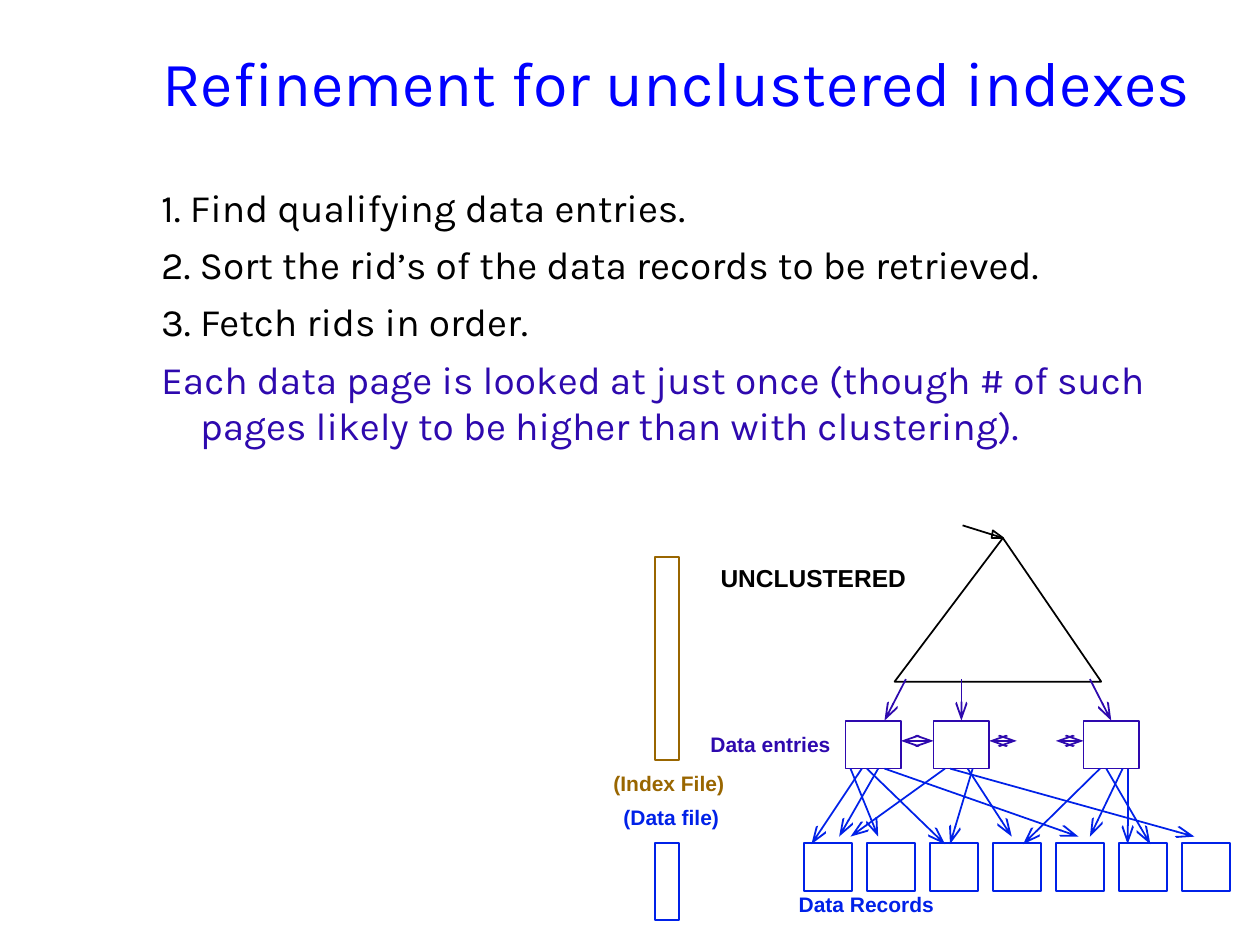
"""Build the slide on refinement for unclustered indexes."""
from lxml.etree import SubElement
from pptx import Presentation
from pptx.dml.color import RGBColor
from pptx.enum.shapes import MSO_CONNECTOR as Line, MSO_SHAPE as Kind
from pptx.enum.text import MSO_ANCHOR as Anchor
from pptx.oxml.ns import qn
from pptx.util import Inches, Pt

BLACK = RGBColor(0x00, 0x00, 0x00)
BLUE = RGBColor(0x00, 0x00, 0xFF)
AZURE = RGBColor(0x00, 0x21, 0xE8)
VIOLET = RGBColor(0x2E, 0x09, 0xAE)
BROWN = RGBColor(0x99, 0x66, 0x00)

TITLE = "Refinement for unclustered indexes"
STEPS = [
    ("1. Find qualifying data entries.", BLACK),
    ("2. Sort the rid’s of the data records to be retrieved.", BLACK),
    ("3. Fetch rids in order.", BLACK),
    ("Each data page is looked at just once (though # of such pages "
     "likely to be higher than with clustering).", VIOLET),
]
LABELS = [
    ("(Index File)", (4.77, 6.07, 1.08, 0.3), 12, BROWN),
    ("(Data file)", (4.85, 6.34, 0.96, 0.3), 12, AZURE),
    ("Data entries", (5.54, 5.76, 1.16, 0.3), 12, VIOLET),
    ("Data Records", (6.24, 7.03, 1.28, 0.3), 12, AZURE),
    ("UNCLUSTERED", (5.62, 4.42, 1.68, 0.33), 14, BLACK),
]
BARS = [((5.2, 4.42, 0.19, 1.61), BROWN), ((5.2, 6.69, 0.19, 0.61), AZURE)]
LEFT, BASE, APEX, TOP, WIDE = 7.1, 5.41, 7.96, 4.27, 1.64
HEAD = [(7.88, 4.21), (APEX, TOP), (7.87, 4.27)]
NODES, ROW, SIDE, TALL = [6.71, 7.41, 8.6], 5.72, 0.44, 0.38
DROPS = [(7.19, 7.02), (7.63, 7.63), (8.65, 8.82)]
PEERS = [(7.15, 7.41), (7.85, 8.07), (8.38, 8.6)]
FILE, FIRST, STEP, COUNT = 6.69, 6.38, 0.5, 7
NEAR, FAR = 6.64, 6.7
LINKS = [
    (6.75, 6.97, NEAR), (6.84, 6.44, FAR), (6.88, 7.5, FAR),
    (6.97, 6.66, NEAR), (7.02, 8.56, NEAR), (7.5, 6.75, NEAR),
    (7.54, 9.48, NEAR), (7.72, 7.54, FAR), (7.68, 8.03, NEAR),
    (8.73, 8.12, FAR), (8.78, 9.13, FAR), (8.91, 8.65, NEAR),
    (8.95, 8.95, FAR),
]

deck = Presentation()
deck.slide_width, deck.slide_height = Inches(10), Inches(7.5)
shapes = deck.slides.add_slide(deck.slide_layouts[6]).shapes


def style(item, form):
    for key, value in form.items():
        setattr(item, key, value)


def write(lines, area, face, size, bold=False, wrap=True, **form):
    frame = shapes.add_textbox(*map(Inches, area)).text_frame
    style(frame, {"word_wrap": wrap, **form})
    for spot, (text, color) in enumerate(lines):
        para = frame.paragraphs[0] if spot == 0 else frame.add_paragraph()
        run = para.add_run()
        run.text = text
        style(run.font, {"name": face, "size": Pt(size), "bold": bold})
        run.font.color.rgb = color
    return frame


def trace(shape, color):
    shape.shadow.inherit = False
    shape.fill.background()
    style(shape.line, {"width": Pt(1)})
    shape.line.color.rgb = color
    return shape


def box(area, color, kind=Kind.RECTANGLE):
    return trace(shapes.add_shape(kind, *map(Inches, area)), color)


def join(start, end, color, tips=()):
    link = shapes.add_connector(Line.STRAIGHT, *map(Inches, start + end))
    link.line.width = Pt(1)
    link.line.color.rgb = color
    for tip in tips:
        SubElement(link.line._ln, qn(tip), type="arrow", w="med", len="lg")
    SubElement(link._element.spPr, qn("a:effectLst"))


write([(TITLE, BLUE)], (1.19, 0.02, 8.5, 1.25), "Karla", 36,
      vertical_anchor=Anchor.MIDDLE)
body = write(STEPS, (0.68, 1.41, 8.72, 2.58), "Karla", 22.2)
for spot, para in enumerate(body.paragraphs):
    para.space_before = Pt(6 if spot else 0)
    props = para._p.get_or_add_pPr()
    props.set("marL", str(Inches(0.81)))
    props.set("indent", str(Inches(-0.31)))

for area, color in BARS:
    box(area, color)
for spot in range(COUNT):
    box((FIRST + spot * STEP, FILE, TALL, TALL), AZURE)

tree = box((LEFT, TOP, WIDE, BASE - TOP), BLACK, Kind.ISOSCELES_TRIANGLE)
tree.adjustments[0] = (APEX - LEFT) / WIDE
join((7.64, 4.17), (APEX, TOP), BLACK)
pen = shapes.build_freeform(*map(Inches, HEAD[0]))
pen.add_line_segments([tuple(map(Inches, dot)) for dot in HEAD[1:]])
trace(pen.convert_to_shape(), BLACK)

for left in NODES:
    box((left, ROW, SIDE, TALL), VIOLET)
for start, end in DROPS:
    join((start, 5.39), (end, ROW), VIOLET, ["a:tailEnd"])
for start, end in PEERS:
    join((start, 5.88), (end, 5.88), VIOLET, ["a:headEnd", "a:tailEnd"])
for start, end, low in LINKS:
    join((start, ROW + TALL), (end, low), AZURE, ["a:tailEnd"])

for text, area, size, color in LABELS:
    write([(text, color)], area, "Arial", size, bold=True, wrap=False)

deck.save("out.pptx")
